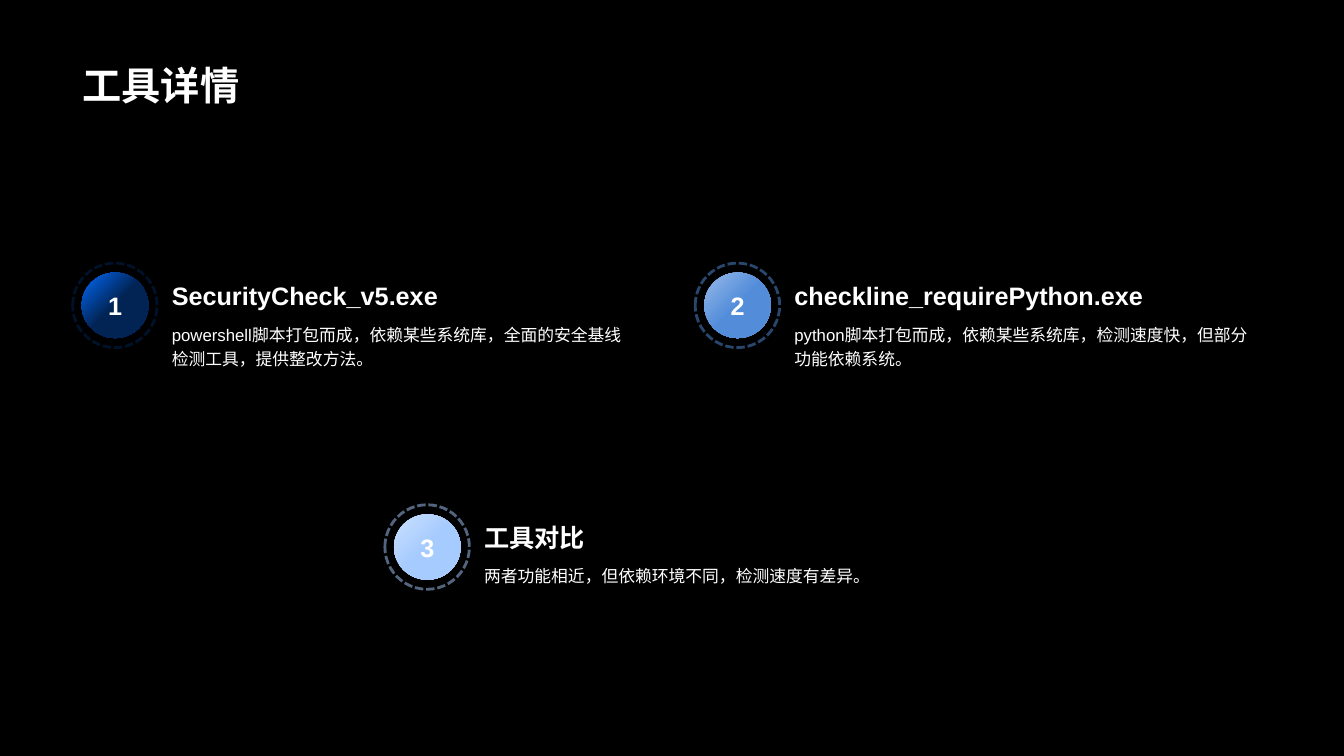
from lxml.etree import SubElement
from pptx import Presentation
from pptx.dml.color import RGBColor
from pptx.enum.dml import MSO_LINE
from pptx.enum.shapes import MSO_SHAPE
from pptx.enum.text import MSO_ANCHOR, MSO_AUTO_SIZE, PP_ALIGN
from pptx.oxml.ns import qn
from pptx.util import Cm, Pt

HUES = {
    "black": "000000", "white": "FFFFFF",
    "navy": "012454", "royal": "036CFC",
    "blue": "538DDA", "sky": "98BBE9",
    "pale": "A6CBFE", "ice": "CAE0FE",
}


def hue(name):
    return RGBColor.from_string(HUES[name])


def write(shape, text, size, bold, anchor, align=PP_ALIGN.LEFT):
    frame = shape.text_frame
    frame.text = text
    frame.word_wrap = True
    frame.auto_size = MSO_AUTO_SIZE.NONE
    frame.vertical_anchor = anchor
    line = frame.paragraphs[0]
    line.alignment = align
    font = line.runs[0].font
    font.name = "Arial"
    font.size = Pt(size)
    font.bold = bold
    font.color.rgb = hue("white")
    return frame


deck = Presentation()
deck.slide_width, deck.slide_height = Cm(33.87), Cm(19.05)
slide = deck.slides.add_slide(deck.slide_layouts[5])
slide.background.fill.solid()
slide.background.fill.fore_color.rgb = hue("black")
shapes = slide.shapes

title = shapes.title
title.left, title.top, title.width, title.height = Cm(1.83), Cm(0.36), Cm(30.18), Cm(2.49)
write(title, "工具详情", 28, True, MSO_ANCHOR.BOTTOM)

tools = [
    (1.83, 6.63, "royal", "navy", "SecurityCheck_v5.exe",
     "powershell脚本打包而成，依赖某些系统库，全面的安全基线检测工具，提供整改方法。"),
    (17.52, 6.63, "sky", "blue", "checkline_requirePython.exe",
     "python脚本打包而成，依赖某些系统库，检测速度快，但部分功能依赖系统。"),
    (9.7, 12.72, "ice", "pale", "工具对比",
     "两者功能相近，但依赖环境不同，检测速度有差异。"),
]

for num, (x, y, light, deep, name, note) in enumerate(tools, 1):
    ring = shapes.add_shape(MSO_SHAPE.OVAL, Cm(x), Cm(y), Cm(2.13), Cm(2.13))
    ring.shadow.inherit = False
    ring.fill.background()
    ring.line.width = Pt(2)
    ring.line.color.rgb = hue(deep)
    ring.line.dash_style = MSO_LINE.SQUARE_DOT
    ring.line.dash_style = MSO_LINE.DASH
    ring.line._ln.find(qn("a:prstDash")).set("val", "sysDash")
    tint = ring.line._ln.find(".//" + qn("a:srgbClr"))
    SubElement(tint, qn("a:alpha")).set("val", "50000")

    disc = shapes.add_shape(MSO_SHAPE.OVAL, Cm(x + 0.23), Cm(y + 0.24), Cm(1.68), Cm(1.65))
    disc.shadow.inherit = False
    disc.line.fill.background()
    disc.fill.gradient()
    disc.fill.gradient_angle = 315
    for stop, shade, place in zip(disc.fill.gradient_stops, (light, deep), (0, 0.5)):
        stop.color.rgb = hue(shade)
        stop.position = place
    frame = write(disc, str(num), 18, True, MSO_ANCHOR.MIDDLE, PP_ALIGN.CENTER)
    frame.word_wrap = False
    frame.margin_left = frame.margin_right = Cm(0.3)
    frame.margin_top = frame.margin_bottom = Cm(0.3)

    head = shapes.add_textbox(Cm(x + 2.25), Cm(y - 1.14), Cm(12.22), Cm(2.46))
    write(head, name, 18, True, MSO_ANCHOR.BOTTOM)
    body = shapes.add_textbox(Cm(x + 2.25), Cm(y + 1.32), Cm(12.22), Cm(3))
    frame = write(body, note, 12, False, MSO_ANCHOR.TOP)
    frame.paragraphs[0].line_spacing = 1.2

deck.save("out.pptx")
